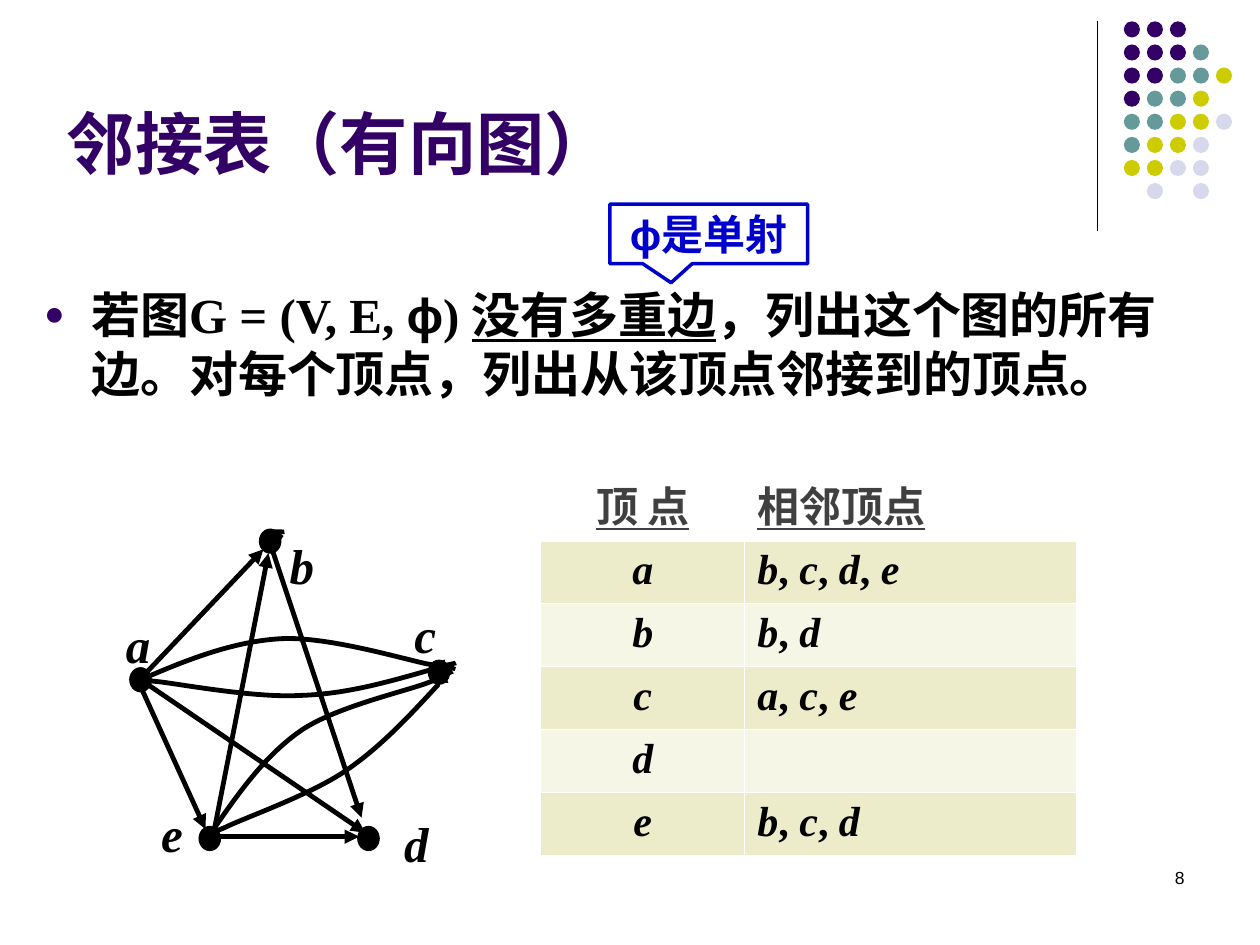
from lxml import etree
from pptx import Presentation
from pptx.dml.color import RGBColor
from pptx.enum import shapes, text
from pptx.oxml import ns
from pptx.util import Pt

SERIF, SANS, CHINESE = "Times New Roman", "Arial", "Noto Sans CJK SC"
PURPLE, BLUE, BLACK, WHITE = "330066", "0000CC", "000000", "FFFFFF"
rgb = RGBColor.from_string
qn = ns.qn


def add_span(para, words, size, face, color, bold=True, italic=False, underline=False):
    span = para.add_run()
    span.text = words
    font = span.font
    font.size, font.name, font.color.rgb = Pt(size), face, rgb(color)
    font.bold, font.italic, font.underline = bold, italic, underline
    etree.SubElement(span._r.get_or_add_rPr(), qn("a:ea"), typeface=CHINESE)


def stroke(item, color, width, head=None):
    """Set the outline of a shape or connector, without shadow."""
    item.line.color.rgb = rgb(color)
    item.line.width = Pt(width)
    if head:
        etree.SubElement(item.line._get_or_add_ln(), qn("a:tailEnd"), type=head)
    etree.SubElement(item._element.spPr, qn("a:effectLst"))


deck = Presentation()
deck.slide_width, deck.slide_height = Pt(720), Pt(540)
page = deck.slides.add_slide(deck.slide_layouts[1])
items = page.shapes

# Corner decoration
rule = items.add_connector(shapes.MSO_CONNECTOR.STRAIGHT, Pt(627), Pt(12), Pt(627), Pt(132))
stroke(rule, BLACK, 0.75)
dot_colors = {"P": PURPLE, "T": "669999", "Y": "CCCC00", "L": "D8D8EC"}
dot_rows = ["PPP", "PPPT", "PPTTY", "PTTY", "TTYYL", "TYYL", "YYLL", "-L-L"]
for row, letters in enumerate(dot_rows):
    for col, letter in enumerate(letters):
        if letter in dot_colors:
            dot = items.add_shape(shapes.MSO_SHAPE.OVAL, Pt(642.2 + 13.15 * col),
                                  Pt(12.2 + 13.2 * row), Pt(9.2), Pt(9.2))
            dot.fill.solid()
            dot.fill.fore_color.rgb = rgb(dot_colors[letter])
            dot.line.fill.background()
            dot.shadow.inherit = False

# Title
title = items.title
title.left, title.top, title.width, title.height = Pt(31), Pt(43), Pt(672), Pt(65)
frame = title.text_frame
frame.auto_size = text.MSO_AUTO_SIZE.NONE
frame.vertical_anchor = text.MSO_ANCHOR.BOTTOM
para = frame.paragraphs[0]
para.alignment = text.PP_ALIGN.LEFT
add_span(para, "邻接表（有向图）", 39, CHINESE, PURPLE)

# Definition
body = page.placeholders[1]
body.left, body.top, body.width, body.height = Pt(18), Pt(158.8), Pt(671), Pt(102)
frame = body.text_frame
frame.auto_size = text.MSO_AUTO_SIZE.NONE
para = frame.paragraphs[0]
para.line_spacing, para.space_before = 1.0, Pt(0)
props = para._p.get_or_add_pPr()
props.set("marL", str(Pt(27)))
props.set("indent", str(-Pt(27)))
etree.SubElement(etree.SubElement(props, qn("a:buClr")), qn("a:srgbClr"), val=PURPLE)
etree.SubElement(props, qn("a:buSzPct"), val="70000")
etree.SubElement(props, qn("a:buChar"), char="●")
for words, face, underline in [
    ("若图G = (V, E, ", SERIF, False),
    ("ϕ", SANS, False),
    (") ", SERIF, False),
    ("没有多重边", SERIF, True),
    ("，列出这个图的所有边。对每个顶点，列出从该顶点邻接到的顶点。", SERIF, False),
]:
    add_span(para, words, 28, face, BLACK, underline=underline)

# Callout
callout = items.add_shape(shapes.MSO_SHAPE.RECTANGULAR_CALLOUT,
                          Pt(348.5), Pt(116.7), Pt(113), Pt(34))
callout.adjustments[0], callout.adjustments[1] = -0.19, 0.82
callout.fill.background()
stroke(callout, BLUE, 2)
callout.text_frame.word_wrap = False
para = callout.text_frame.paragraphs[0]
para.alignment = text.PP_ALIGN.CENTER
add_span(para, "ϕ", 24, SANS, BLUE)
add_span(para, "是单射", 24, SERIF, BLUE)

# Adjacency table
neighbours = {"a": "bcde", "b": "bd", "c": "ace", "d": "", "e": "bcd"}
table = items.add_table(6, 2, Pt(309), Pt(267), Pt(306), Pt(216)).table
table.first_row = table.horz_banding = False
table.columns[0].width, table.columns[1].width = Pt(116.6), Pt(189.4)
for row in range(6):
    table.rows[row].height = Pt(36)
    for col in range(2):
        cell = table.cell(row, col)
        for side in ("lnL", "lnR", "lnT", "lnB"):
            heavy = (row, side) in [(0, "lnB"), (1, "lnT")]
            border = etree.SubElement(cell._tc.get_or_add_tcPr(), qn("a:" + side),
                                      w=str(Pt(1.47 if heavy else 0.45)))
            fill = etree.SubElement(border, qn("a:solidFill"))
            etree.SubElement(fill, qn("a:srgbClr"), val=WHITE)
        if row == 0:
            cell.fill.background()
        else:
            cell.fill.solid()
            cell.fill.fore_color.rgb = rgb("ECECCB" if row % 2 else "F6F6E7")
        if col == 0:
            cell.text_frame.paragraphs[0].alignment = text.PP_ALIGN.CENTER
for col, words in enumerate(["顶 点", "相邻顶点"]):
    add_span(table.cell(0, col).text_frame.paragraphs[0], words, 24, SANS, "404040",
             underline=True)
for row, (vertex, targets) in enumerate(neighbours.items(), start=1):
    add_span(table.cell(row, 0).text_frame.paragraphs[0], vertex, 24, SERIF, BLACK, italic=True)
    para = table.cell(row, 1).text_frame.paragraphs[0]
    for index, target in enumerate(targets):
        if index:
            add_span(para, ", ", 24, SERIF, BLACK)
        add_span(para, target, 24, SERIF, BLACK, italic=True)

# Graph vertices: node corner, label corner
vertices = {
    "a": (74.2, 381.6, 64.8, 347.8),
    "b": (148.3, 302.4, 158.4, 302.4),
    "c": (244.8, 377.3, 229.7, 342),
    "d": (204.5, 472.3, 223.9, 461.5),
    "e": (113.8, 472.3, 85, 455.8),
}
for name, (left, top, label_left, label_top) in vertices.items():
    node = items.add_shape(shapes.MSO_SHAPE.OVAL, Pt(left), Pt(top), Pt(12.2), Pt(13.7))
    node.fill.solid()
    node.fill.fore_color.rgb = rgb(BLACK)
    stroke(node, BLACK, 0.75)
    label = items.add_textbox(Pt(label_left), Pt(label_top), Pt(30), Pt(41))
    label.text_frame.word_wrap = True
    add_span(label.text_frame.paragraphs[0], name, 28, SERIF, BLACK, italic=True)

# Straight edges, then the tips of the loops at b and c
for x1, y1, x2, y2, width, head in [
    (83.5, 384.5, 150.5, 313.9, 2.75, "triangle"),
    (84.2, 391, 208.8, 475.9, 2.75, "triangle"),
    (81.4, 394.6, 117.4, 473.8, 2.75, "triangle"),
    (123.8, 478.1, 205.2, 478.1, 2.75, "triangle"),
    (155.5, 313.9, 206.6, 467.3, 2.75, "triangle"),
    (121.7, 478.1, 153.4, 316.1, 2.75, "triangle"),
    (156.2, 303.8, 154.1, 302.4, 2.5, "arrow"),
    (254.2, 380.2, 252, 379.4, 2.5, "arrow"),
]:
    edge = items.add_connector(shapes.MSO_CONNECTOR.STRAIGHT, Pt(x1), Pt(y1), Pt(x2), Pt(y2))
    stroke(edge, BLACK, width, head)

# Curved edges: a start point and three cubic segments each
for points in [
    [(250.6, 391), (234, 409), (217.4, 427), (197.3, 440.6), (177.1, 454.3),
     (139.7, 467.3), (128.2, 473), (115.9, 478.1), (121.7, 475.9), (126.7, 473)],
    [(123.1, 472.3), (137.5, 451.4), (152.6, 430.6), (172.8, 416.9), (193.7, 403.2),
     (234, 394.6), (246.2, 389.5), (258.5, 385.2), (252.7, 387.4), (247, 389.5)],
    [(247.7, 382.3), (222.5, 389.5), (198, 396.7), (171.4, 397.4), (145.4, 398.9),
     (103.7, 391), (90, 389.5), (76.3, 388.1), (82.8, 388.8), (89.3, 389.5)],
    [(82.8, 387.4), (108, 376.6), (133.9, 366.5), (160.6, 365), (187.2, 363.6),
     (230.4, 376.6), (244.1, 379.4), (258.5, 381.6), (252, 380.9), (245.5, 379.4)],
]:
    start, *rest = [(Pt(x), Pt(y)) for x, y in points]
    builder = items.build_freeform(*start)
    builder.add_line_segments(rest, close=False)
    curve = builder.convert_to_shape()
    steps = list(curve._element.iter(qn("a:lnTo")))
    outline = steps[0].getparent()
    for first in range(0, len(steps), 3):
        bezier = etree.SubElement(outline, qn("a:cubicBezTo"))
        for step in steps[first:first + 3]:
            bezier.append(step[0])
            outline.remove(step)
    curve.fill.background()
    stroke(curve, BLACK, 2.75, "triangle")

# Page number
number = items.add_textbox(Pt(516), Pt(492), Pt(168), Pt(36))
number.text_frame.word_wrap = True
para = number.text_frame.paragraphs[0]
para.alignment = text.PP_ALIGN.RIGHT
add_span(para, "8", 10, SANS, BLACK, bold=False)

deck.save("out.pptx")
